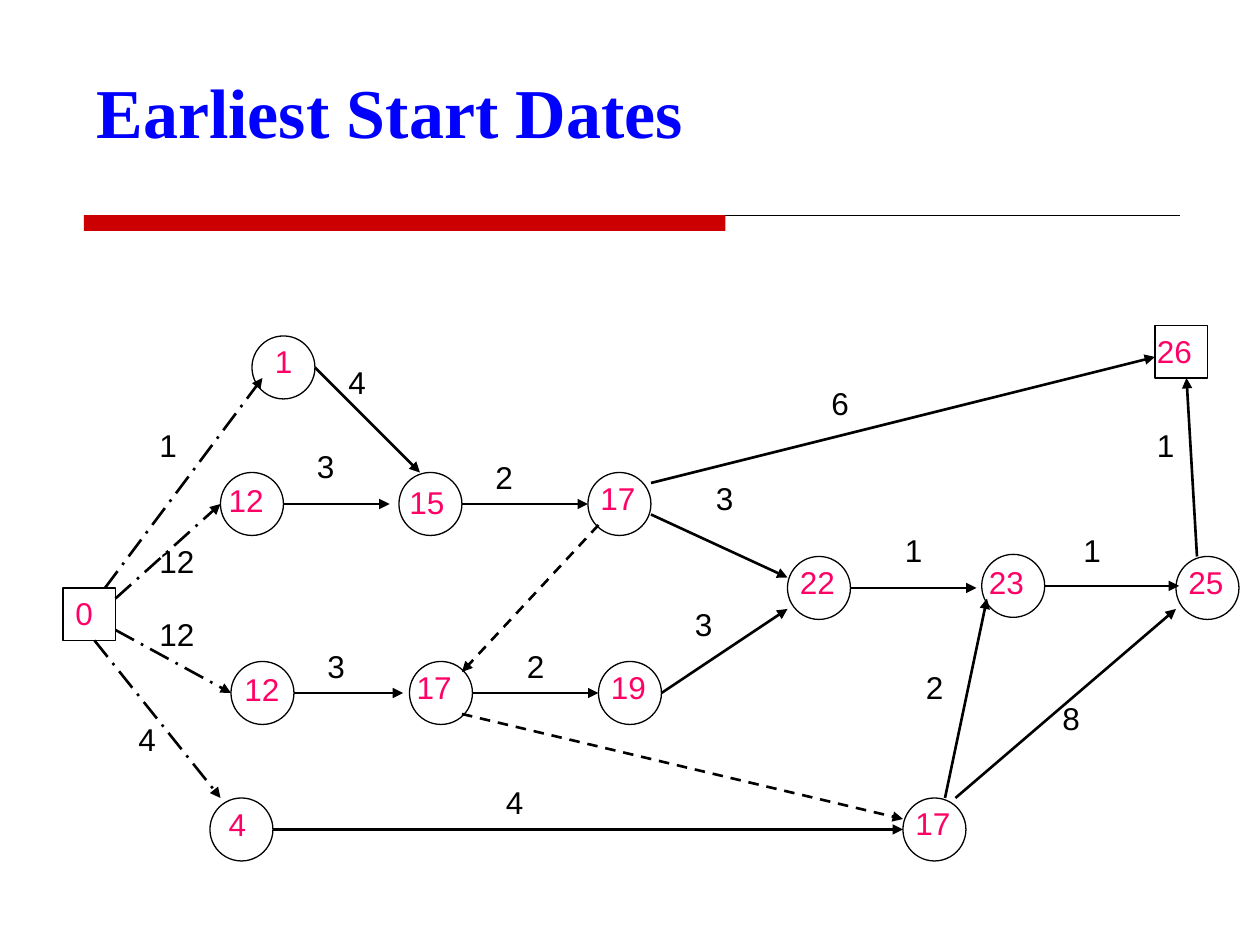
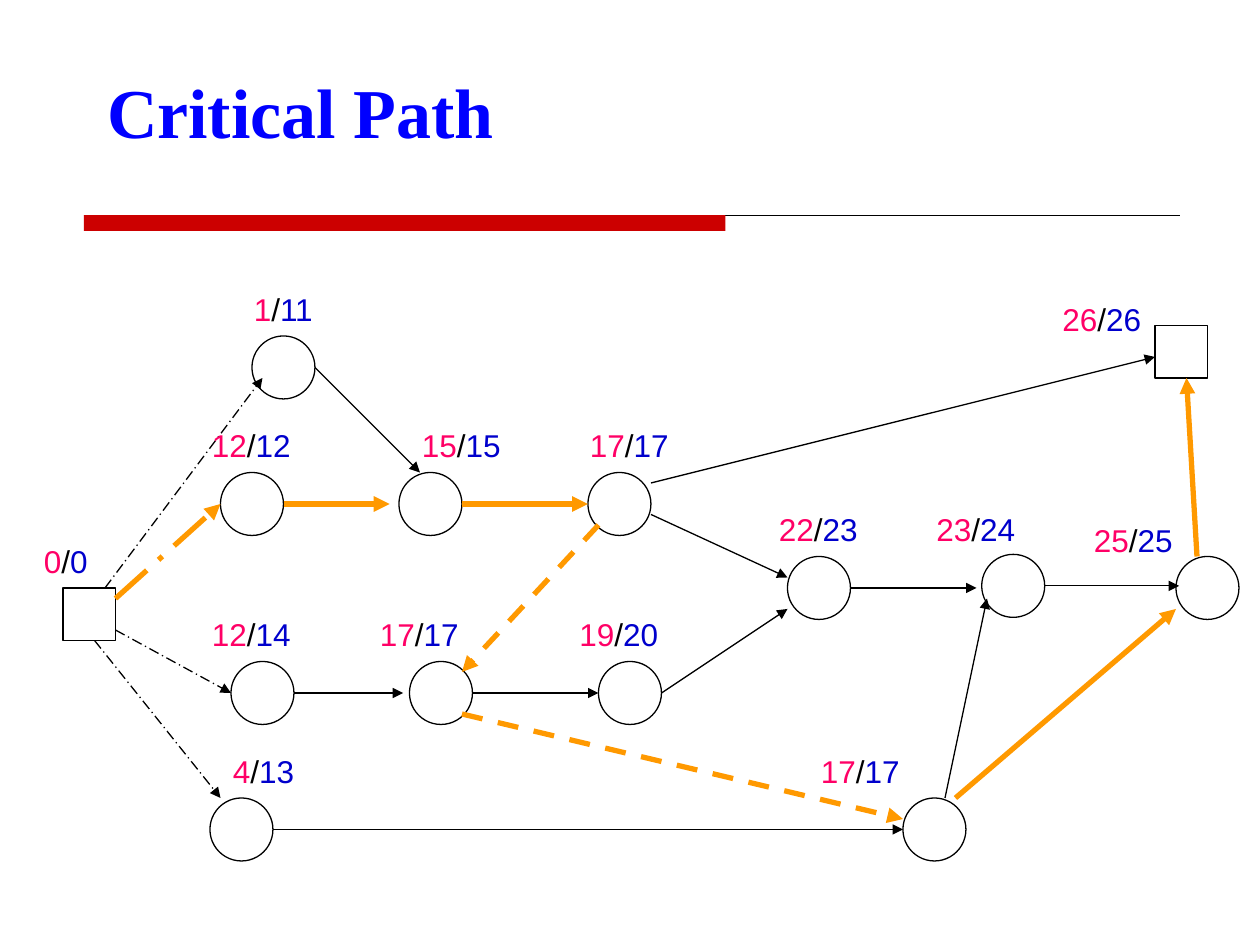
from lxml import etree
from pptx import Presentation
from pptx.dml.color import RGBColor
from pptx.enum.dml import MSO_LINE
from pptx.enum.shapes import MSO_CONNECTOR, MSO_SHAPE
from pptx.enum.text import MSO_ANCHOR, PP_ALIGN
from pptx.oxml.ns import qn
from pptx.util import Inches, Pt

STRAIGHT = MSO_CONNECTOR.STRAIGHT
CIRCLE, SQUARE = MSO_SHAPE.OVAL, MSO_SHAPE.RECTANGLE
START_DASH, LINK_DASH = MSO_LINE.LONG_DASH_DOT, MSO_LINE.DASH

COLORS = {
    "title": "0000FF",
    "band": "CC0000",
    "ink": "000000",
    "early": "FF0066",
    "late": "0000CC",
    "critical": "FF9900",
}
TITLE_FONT, LABEL_FONT = "Times New Roman", "Arial"

# All places are (column, row) on a grid of twelfths of an inch.
CELLS_PER_INCH = 12
NODE_SIZE = {CIRCLE: 6, SQUARE: 5}
LABEL_HEIGHT = 6
DURATION_WIDTH, EARLY_WIDTH, PAIR_WIDTH = 7, 8, 13

# shape, place, earliest start, its place, latest start, place of the pair
NODES = [
    (SQUARE, (6, 56), "0", (6, 56), "0", (3, 51)),
    (CIRCLE, (24, 32), "1", (25, 32), "11", (23, 27)),
    (CIRCLE, (21, 45), "12", (20.6, 45.2), "12", (19, 40)),
    (CIRCLE, (22, 63), "12", (22.1, 63.2), "14", (19, 58)),
    (CIRCLE, (20, 76), "4", (20.6, 76.1), "13", (21, 71)),
    (CIRCLE, (38, 45), "15", (37.8, 45.4), "15", (39, 40)),
    (CIRCLE, (56, 45), "17", (56, 45), "17", (55, 40)),
    (CIRCLE, (39, 63), "17", (38.5, 63), "17", (35, 58)),
    (CIRCLE, (86, 76), "17", (86, 76), "17", (77, 71)),
    (CIRCLE, (57, 63), "19", (57, 63), "20", (54, 58)),
    (CIRCLE, (75, 53), "22", (75, 53), "23", (73, 48)),
    (SQUARE, (110, 31), "26", (109, 31), "26", (100, 28)),
    (CIRCLE, (93.5, 52.8), "23", (93, 53), "24", (88, 48)),
    (CIRCLE, (112, 53), "25", (112, 53), "25", (103, 49)),
]

# start, end, dash, on the critical path
ARROWS = [
    ((10, 56), (25, 36), START_DASH, False),
    ((11, 57), (21, 48), START_DASH, True),
    ((11, 60), (22, 66), START_DASH, False),
    ((9, 61), (21, 76), START_DASH, False),
    ((30, 35), (40, 45), None, False),
    ((27, 48), (37.1, 48), None, True),
    ((44, 48), (56, 48), None, True),
    ((28, 66), (38.4, 66), None, False),
    ((45, 66), (57, 66), None, False),
    ((26, 79), (86, 79), None, False),
    ((57, 50), (44, 64), LINK_DASH, True),
    ((44, 68), (86, 78), LINK_DASH, True),
    ((62, 46), (110, 34), None, False),
    ((62, 49), (75, 55), None, False),
    ((63, 66), (75, 58), None, False),
    ((81, 56), (93, 56), None, False),
    ((99.5, 55.8), (112.3, 55.8), None, False),
    ((90, 76), (94, 57), None, False),
    ((91, 76), (112, 58), None, True),
    ((114, 53), (113, 36), None, True),
]

DURATIONS = [
    ("1", (14, 40)), ("12", (14, 51)), ("12", (14, 58)), ("4", (12, 68)),
    ("4", (32, 34)), ("3", (29, 42)), ("2", (46, 43)), ("3", (30, 61)),
    ("2", (49, 61)), ("4", (47, 74)), ("6", (78, 36)), ("3", (67, 45)),
    ("3", (65, 57)), ("1", (85, 50)), ("1", (102, 50)), ("2", (87, 63)),
    ("8", (100, 66)), ("1", (109, 40)),
]


def color(name):
    return RGBColor.from_string(COLORS[name])


def cells(*counts):
    return [Inches(count / CELLS_PER_INCH) for count in counts]


def add_line(page, start, end, ink="ink", width=0.75, dash=None):
    line = page.shapes.add_connector(STRAIGHT, *cells(*start, *end))
    line.line.color.rgb = color(ink)
    line.line.width = Pt(width)
    if dash is not None:
        line.line.dash_style = dash
    etree.SubElement(line._element.spPr, qn("a:effectLst"))
    return line


def add_arrow(page, *details):
    outline = add_line(page, *details).line._get_or_add_ln()
    etree.SubElement(outline, qn("a:tailEnd"), type="triangle")


def add_node(page, kind, place):
    size = NODE_SIZE[kind]
    node = page.shapes.add_shape(kind, *cells(*place, size, size))
    node.shadow.inherit = False
    node.fill.background()
    node.line.color.rgb = color("ink")
    node.line.width = Pt(0.75)


def add_label(page, place, width, *parts):
    """Write (text, colour name) parts side by side in one box."""
    box = page.shapes.add_textbox(*cells(*place, width, LABEL_HEIGHT))
    box.text_frame.word_wrap = True
    para = box.text_frame.paragraphs[0]
    for text, ink in parts:
        span = para.add_run()
        span.text = text
        span.font.name = LABEL_FONT
        span.font.size = Pt(18)
        span.font.color.rgb = color(ink)


def add_page(deck, title, title_column):
    page = deck.slides.add_slide(deck.slide_layouts[5])
    add_line(page, (8, 20.5), (112.4, 20.5))
    band = page.shapes.add_shape(SQUARE, *cells(8, 20.5, 61.1, 1.5))
    band.shadow.inherit = False
    band.fill.solid()
    band.fill.fore_color.rgb = color("band")
    band.line.fill.background()

    box = page.shapes.title
    box.left, box.top, box.width, box.height = cells(title_column, 3, 102, 15)
    box.text_frame.text = title
    box.text_frame.vertical_anchor = MSO_ANCHOR.MIDDLE
    para = box.text_frame.paragraphs[0]
    para.alignment = PP_ALIGN.LEFT
    font = para.runs[0].font
    font.name, font.size, font.bold = TITLE_FONT, Pt(40), True
    font.color.rgb = color("title")
    return page


def add_network(page, line_styles):
    """Draw nodes and arrows; line_styles maps critical or not to ink and width."""
    for kind, place, *_ in NODES:
        add_node(page, kind, place)
    for start, end, dash, critical in ARROWS:
        add_arrow(page, start, end, *line_styles[critical], dash)


def build_earliest_starts(deck):
    page = add_page(deck, "Earliest Start Dates", 8)
    add_network(page, {False: ("ink", 1.5), True: ("ink", 1.5)})
    for duration, place in DURATIONS:
        add_label(page, place, DURATION_WIDTH, (duration, "ink"))
    for _, _, early, place, _, _ in NODES:
        add_label(page, place, EARLY_WIDTH, (early, "early"))


def build_critical_path(deck):
    page = add_page(deck, "Critical Path", 9)
    add_network(page, {False: ("ink", 0.75), True: ("critical", 3)})
    for _, _, early, _, late, place in NODES:
        add_label(page, place, PAIR_WIDTH,
                  (early, "early"), ("/", "ink"), (late, "late"))


def main():
    deck = Presentation()
    deck.slide_width, deck.slide_height = Inches(10), Inches(7.5)
    build_earliest_starts(deck)
    build_critical_path(deck)
    deck.save("out.pptx")


if __name__ == "__main__":
    main()
